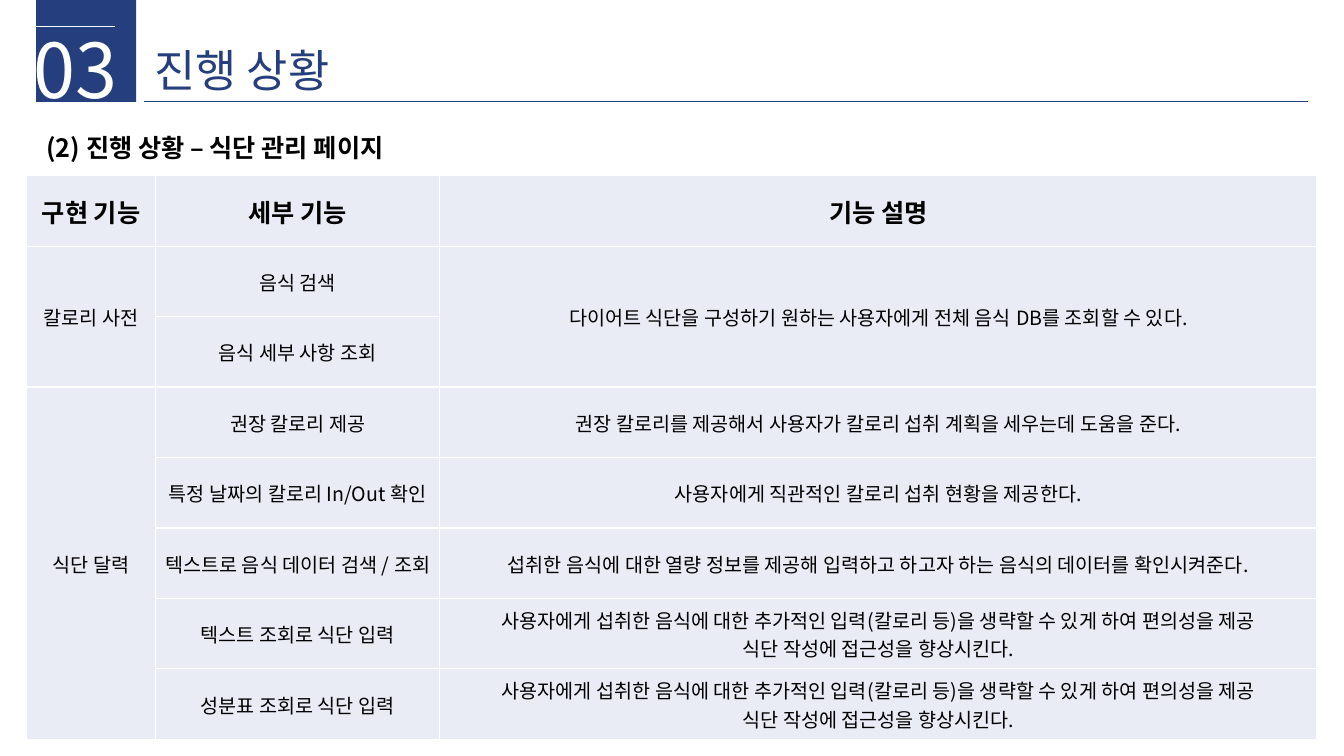
import dataclasses
import pptx
import pptx.dml.color
import pptx.enum.shapes
import pptx.enum.text
import pptx.oxml.ns
import pptx.util
from lxml import etree

qn = pptx.oxml.ns.qn
TXT = pptx.enum.text
MID, TOP = TXT.MSO_ANCHOR.MIDDLE, TXT.MSO_ANCHOR.TOP
LEFT, MIDDLE = TXT.PP_ALIGN.LEFT, TXT.PP_ALIGN.CENTER


def rgb(code):
    """Turn a hex code into a colour."""
    return pptx.dml.color.RGBColor.from_string(code)


def put(item, look):
    """Set each value of a format dict on an item."""
    for name, value in look.items():
        setattr(item, name, value)


@dataclasses.dataclass(frozen=True)
class Theme:
    """Colours, font and type sizes of the deck."""
    navy: str = "253E7E"
    white: str = "FFFFFF"
    black: str = "000000"
    pale: str = "E9EBF5"
    font: str = "Noto Sans CJK KR"
    huge: int = 54
    title: int = 32
    head: int = 18
    body: int = 14
    thin: float = 0.5
    edge: float = 1


class Page:
    """A slide on a grid of 100 columns by 100 rows."""

    def __init__(self, deck, theme):
        """Add a title and body slide to the deck."""
        self.theme = theme
        self.wide, self.high = deck.slide_width, deck.slide_height
        self.slide = deck.slides.add_slide(deck.slide_layouts[1])
        self.shapes = self.slide.shapes

    def x(self, cols):
        """Give the length of some columns."""
        return round(self.wide * cols / 100)

    def y(self, rows):
        """Give the length of some rows."""
        return round(self.high * rows / 100)

    def box(self, left, top, cols, rows):
        """Give a grid box as slide lengths."""
        return self.x(left), self.y(top), self.x(cols), self.y(rows)

    def words(self, frame, text, size, color, bold=False, **look):
        """Fill a text frame, one paragraph for each line."""
        for i, line in enumerate(text.split("\n")):
            par = frame.add_paragraph() if i else frame.paragraphs[0]
            put(par, look)
            run = par.add_run()
            run.text = line
            put(run.font, {"name": self.theme.font, "bold": bold,
                           "size": pptx.util.Pt(size)})
            run.font.color.rgb = rgb(color)
            etree.SubElement(run._r.get_or_add_rPr(), qn("a:ea"),
                             typeface=self.theme.font)

    def label(self, shape, text, size, color, **look):
        """Set plain left text in a box."""
        frame = shape.text_frame
        put(frame, {"word_wrap": True, "vertical_anchor": TOP,
                    "auto_size": TXT.MSO_AUTO_SIZE.NONE})
        self.words(frame, text, size, color, alignment=LEFT, **look)

    def hold(self, index, area, *args, **look):
        """Move and fill a placeholder."""
        shape = self.slide.placeholders[index]
        put(shape, dict(zip(("left", "top", "width", "height"),
                            self.box(*area))))
        self.label(shape, *args, **look)
        if index:
            for par in shape.text_frame.paragraphs:
                props = par._p.get_or_add_pPr()
                props.set("marL", "0")
                props.set("indent", "0")
                etree.SubElement(props, qn("a:buNone"))

    def text(self, area, *args, **look):
        """Add a text box."""
        self.label(self.shapes.add_textbox(*self.box(*area)), *args, **look)

    def block(self, area, color):
        """Add a filled rectangle."""
        kind = pptx.enum.shapes.MSO_SHAPE.RECTANGLE
        shape = self.shapes.add_shape(kind, *self.box(*area))
        shape.shadow.inherit = False
        shape.fill.solid()
        shape.fill.fore_color.rgb = rgb(color)
        shape.line.fill.background()

    def rule(self, left, right, row, color):
        """Add a thin level line."""
        kind = pptx.enum.shapes.MSO_CONNECTOR.STRAIGHT
        line = self.shapes.add_connector(kind, self.x(left), self.y(row),
                                         self.x(right), self.y(row))
        line.line.color.rgb = rgb(color)
        line.line.width = pptx.util.Pt(self.theme.thin)
        etree.SubElement(line._element.spPr, qn("a:effectLst"))

    def border(self, cell):
        """Draw the four edges of a cell."""
        props = cell._tc.get_or_add_tcPr()
        for side in "LRTB":
            edge = etree.SubElement(props, qn("a:ln" + side),
                                    w=str(int(pptx.util.Pt(self.theme.edge))))
            fill = etree.SubElement(edge, qn("a:solidFill"))
            etree.SubElement(fill, qn("a:srgbClr"), val=self.theme.white)

    def table(self, left, top, cols, row, data):
        """Add a table where None joins a cell to the one above."""
        look = self.theme
        area = self.box(left, top, sum(cols), row * len(data))
        grid = self.shapes.add_table(len(data), len(cols), *area).table
        put(grid, {"first_row": False, "horz_banding": False})
        for col, size in zip(grid.columns, cols):
            col.width = self.x(size)
        pad = pptx.util.Inches(0.01)
        for r, line in enumerate(data):
            grid.rows[r].height = self.y(row)
            for c, text in enumerate(line):
                cell = grid.cell(r, c)
                self.border(cell)
                cell.fill.solid()
                cell.fill.fore_color.rgb = rgb(look.pale)
                put(cell, {"vertical_anchor": MID, "margin_left": pad,
                           "margin_right": pad, "margin_top": pad,
                           "margin_bottom": 0})
                if text:
                    self.words(cell.text_frame, text,
                               look.body if r else look.head, look.black,
                               bold=not r, alignment=MIDDLE)
        for c in range(len(cols)):
            tops = [r for r, line in enumerate(data) if line[c]]
            for start, stop in zip(tops, tops[1:] + [len(data)]):
                if stop - start > 1:
                    grid.cell(start, c).merge(grid.cell(stop - 1, c))


EASE = ("사용자에게 섭취한 음식에 대한 추가적인 입력(칼로리 등)을 생략할 수 있게 하여 편의성을 제공\n"
        "식단 작성에 접근성을 향상시킨다.")
DATA = [
    ("구현 기능", "세부 기능", "기능 설명"),
    ("칼로리 사전", "음식 검색",
     "다이어트 식단을 구성하기 원하는 사용자에게 전체 음식 DB를 조회할 수 있다."),
    (None, "음식 세부 사항 조회", None),
    ("식단 달력", "권장 칼로리 제공",
     "권장 칼로리를 제공해서 사용자가 칼로리 섭취 계획을 세우는데 도움을 준다."),
    (None, "특정 날짜의 칼로리 In/Out 확인",
     "사용자에게 직관적인 칼로리 섭취 현황을 제공한다."),
    (None, "텍스트로 음식 데이터 검색 / 조회",
     "섭취한 음식에 대한 열량 정보를 제공해 입력하고 하고자 하는 음식의 데이터를 확인시켜준다."),
    (None, "텍스트 조회로 식단 입력", EASE),
    (None, "성분표 조회로 식단 입력", EASE),
]


def main():
    """Build and save the slide."""
    deck = pptx.Presentation()
    put(deck, {"slide_width": pptx.util.Inches(13.33),
               "slide_height": pptx.util.Inches(7.5)})
    look = Theme()
    page = Page(deck, look)
    page.block((2.7, 0, 7.43, 13.47), look.navy)
    page.rule(2.7, 8.55, 3.47, look.white)
    page.rule(10.73, 97.3, 13.37, look.navy)
    page.hold(0, (10.73, 4.93, 45, 8.53), "진행 상황", look.title, look.navy)
    page.text((1.73, 2.4, 19.65, 13.47), "03", look.huge, look.white)
    gap = pptx.util.Pt(12)
    page.hold(1, (2.7, 14.4, 65.57, 7.87), "(2) 진행 상황 – 식단 관리 페이지",
              look.head, look.black, bold=True, line_spacing=1.6,
              space_before=gap, space_after=gap)
    page.table(1.98, 23.25, (9.6, 21.15, 65.27), 9.32, DATA)
    deck.save("out.pptx")


if __name__ == "__main__":
    main()
